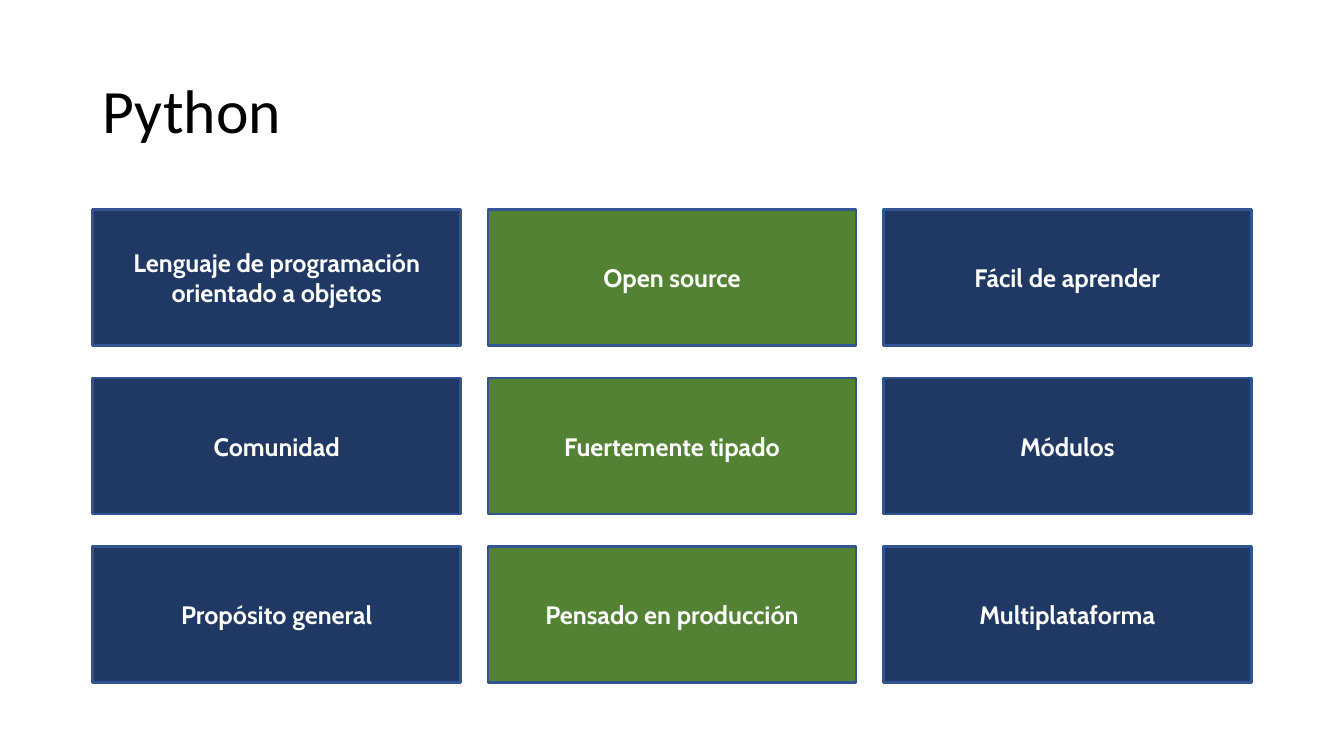
import pptx
import pptx.util
import pptx.dml.color
import pptx.enum.shapes
import pptx.enum.text

TITLE = "Python"
FEATURES = [
    ["Lenguaje de programación orientado a objetos", "Open source", "Fácil de aprender"],
    ["Comunidad", "Fuertemente tipado", "Módulos"],
    ["Propósito general", "Pensado en producción", "Multiplataforma"],
]
COLORS = {
    "navy": "203864",
    "green": "548235",
    "border": "325491",
    "white": "FFFFFF",
    "black": "000000",
}
COLUMN_FILLS = ["navy", "green", "navy"]
LEFT, TOP = 0.92, 2.08
BOX_WIDTH, BOX_HEIGHT = 3.65, 1.35
COLUMN_STEP, ROW_STEP = 3.92, 1.67

Inches = pptx.util.Inches


def color(name):
    return pptx.dml.color.RGBColor.from_string(COLORS[name])


def format_text(shape, font_name, size, color_name, align, bold=False):
    frame = shape.text_frame
    frame.word_wrap = True
    frame.vertical_anchor = pptx.enum.text.MSO_ANCHOR.MIDDLE
    para = frame.paragraphs[0]
    para.alignment = align
    font = para.runs[0].font
    font.name = font_name
    font.size = pptx.util.Pt(size)
    font.bold = bold
    font.color.rgb = color(color_name)


def add_title(page):
    title = page.shapes.title
    title.left, title.top = Inches(LEFT), Inches(0.4)
    title.width, title.height = Inches(11.5), Inches(1.45)
    title.text_frame.text = TITLE
    title.text_frame.auto_size = pptx.enum.text.MSO_AUTO_SIZE.NONE
    title.text_frame.paragraphs[0].line_spacing = 0.9
    format_text(title, "Calibri", 44, "black", pptx.enum.text.PP_ALIGN.LEFT)


def add_feature(page, row, column, text):
    box = page.shapes.add_shape(
        pptx.enum.shapes.MSO_SHAPE.RECTANGLE,
        Inches(LEFT + column * COLUMN_STEP),
        Inches(TOP + row * ROW_STEP),
        Inches(BOX_WIDTH),
        Inches(BOX_HEIGHT),
    )
    box.shadow.inherit = False
    box.fill.solid()
    box.fill.fore_color.rgb = color(COLUMN_FILLS[column])
    box.line.color.rgb = color("border")
    box.line.width = pptx.util.Pt(2)
    box.text_frame.text = text
    format_text(box, "Cabin", 18, "white", pptx.enum.text.PP_ALIGN.CENTER, bold=True)


def main():
    deck = pptx.Presentation()
    deck.slide_width, deck.slide_height = Inches(13.33), Inches(7.5)
    page = deck.slides.add_slide(deck.slide_layouts[5])
    add_title(page)
    for row, texts in enumerate(FEATURES):
        for column, text in enumerate(texts):
            add_feature(page, row, column, text)
    deck.save("out.pptx")


if __name__ == "__main__":
    main()
